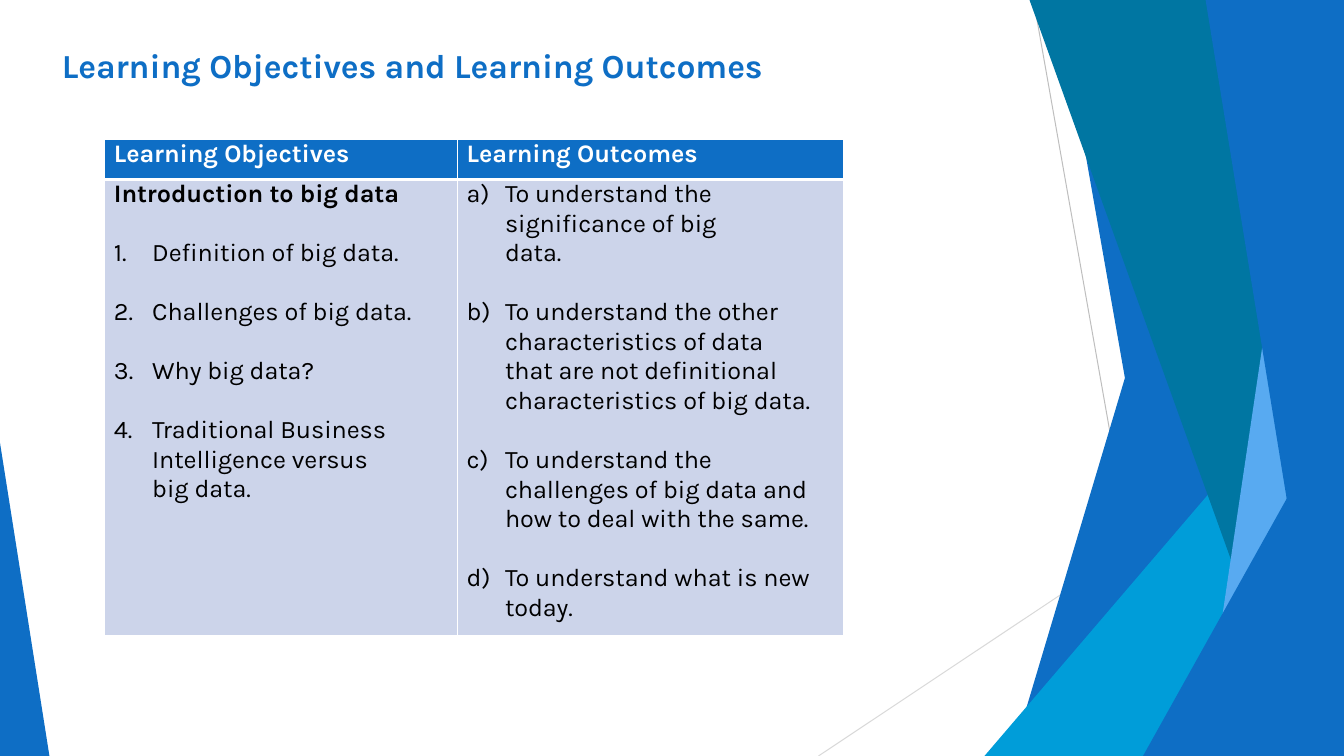
"""Build the slide on learning objectives and learning outcomes for big data."""
from lxml import etree
from pptx import Presentation
from pptx.dml.color import RGBColor
from pptx.enum.shapes import MSO_CONNECTOR
from pptx.enum.text import MSO_ANCHOR, MSO_AUTO_SIZE, PP_ALIGN
from pptx.oxml.ns import qn
from pptx.util import Inches, Pt

STRAIGHT = MSO_CONNECTOR.STRAIGHT
TOP, MIDDLE = MSO_ANCHOR.TOP, MSO_ANCHOR.MIDDLE
NO_AUTOFIT = MSO_AUTO_SIZE.NONE
LEFT = PP_ALIGN.LEFT

COLOURS = {
    "blue": "0E6EC5", "cyan": "009DD9", "teal": "0076A2", "sky": "58AAF1",
    "pale": "CCD4EA", "white": "FFFFFF", "black": "000000",
    "grey": "BEBEBE", "light_grey": "D9D9D9",
}
FORMATS = {
    "title": {"name": "Karla", "size": Pt(24), "bold": True},
    "heading": {"name": "Karla", "size": Pt(18), "bold": True},
    "item": {"name": "Karla", "size": Pt(18), "bold": False},
}
NO_MARGINS = {"margin_left": 0, "margin_top": 0, "margin_right": 0, "margin_bottom": 0}
TITLE_FRAME = {**NO_MARGINS, "word_wrap": True, "auto_size": NO_AUTOFIT,
               "vertical_anchor": MIDDLE}
CELL_FRAME = {**NO_MARGINS, "vertical_anchor": TOP}
HEADING_INDENT, ITEM_INDENT, NUMBER_WIDTH = 0.09, 0.47, 0.38
ITEM_GAP = 21

FACETS = [
    ("blue", [(100, 0), (92.1, 0), (75.3, 100), (100, 100)]),
    ("blue", [(100, 0), (78.75, 0), (88.65, 100), (100, 100)]),
    ("cyan", [(100, 44.4), (73.25, 100), (100, 100)]),
    ("teal", [(100, 0), (76.6, 0), (96.85, 100), (100, 100)]),
    ("sky", [(100, 0), (97.75, 0), (89.4, 100), (100, 100)]),
    ("blue", [(100, 0), (89.7, 0), (98.85, 100), (100, 100)]),
    ("blue", [(100, 52.4), (85.05, 100), (100, 100)]),
    ("blue", [(0, 58.55), (0, 100), (3.68, 100)]),
]
HAIRLINES = [("grey", (76.9, 0), (86.85, 100)), ("light_grey", (100, 53.7), (60.9, 100))]

OBJECTIVES = [
    ("Definition of big data.", 0.2),
    ("Challenges of big data.", 0.2),
    ("Why big data?", 0.2),
    ("Traditional Business Intelligence versus big data.", 0.6),
]
OUTCOMES = [
    ("To understand the significance of big data.", 0.92),
    ("To understand the other characteristics of data\vthat are not definitional "
     "characteristics of big data.", 0.2),
    ("To understand the challenges of big data and how to deal with the same.", 0.2),
    ("To understand what is new today.", 0.2),
]


class SlideBuilder:
    """Hold the style and the slide; lengths are percentages of the slide's size."""

    def __init__(self, presentation):
        self.width, self.height = presentation.slide_width, presentation.slide_height
        self.slide = presentation.slides.add_slide(presentation.slide_layouts[5])

    def across(self, share):
        return round(self.width * share / 100)

    def down(self, share):
        return round(self.height * share / 100)

    def point(self, position):
        return self.across(position[0]), self.down(position[1])

    def apply(self, target, values):
        for name, value in values.items():
            setattr(target, name, value)

    def colour(self, name):
        return RGBColor.from_string(COLOURS[name])

    def facet(self, colour, corners):
        first, *others = [self.point(corner) for corner in corners]
        builder = self.slide.shapes.build_freeform(*first, scale=1.0)
        builder.add_line_segments(others, close=True)
        shape = builder.convert_to_shape()
        shape.shadow.inherit = False
        shape.fill.solid()
        shape.fill.fore_color.rgb = self.colour(colour)
        shape.line.fill.background()

    def hairline(self, colour, start, end):
        connector = self.slide.shapes.add_connector(
            STRAIGHT, *self.point(start), *self.point(end))
        connector.line.color.rgb = self.colour(colour)
        connector.line.width = Pt(0.72)
        etree.SubElement(connector._element.spPr, qn("a:effectLst"))

    def fill_paragraph(self, paragraph, text, style, colour):
        paragraph.text = text
        paragraph.alignment = LEFT
        for run in paragraph.runs:
            self.apply(run.font, FORMATS[style])
            run.font.color.rgb = self.colour(colour)
            run._r.get_or_add_rPr().set("spc", "-5")

    def title(self, text, left, top, width, height):
        title = self.slide.shapes.title
        self.slide.shapes._spTree.append(title._element)
        self.apply(title, {"left": self.across(left), "top": self.down(top),
                           "width": self.across(width), "height": self.down(height)})
        self.apply(title.text_frame, TITLE_FRAME)
        self.fill_paragraph(title.text_frame.paragraphs[0], text, "title", "blue")

    def table(self, left, top, columns, rows):
        table = self.slide.shapes.add_table(
            len(rows), len(columns), self.across(left), self.down(top),
            self.across(sum(columns)), self.down(sum(rows))).table
        for column, share in zip(table.columns, columns):
            column.width = self.across(share)
        for row, share in zip(table.rows, rows):
            row.height = self.down(share)
        return table

    def cell(self, cell, fill, top_border, bottom_border):
        self.apply(cell, CELL_FRAME)
        properties = cell._tc.get_or_add_tcPr()
        borders = {"a:lnL": 1, "a:lnR": 1, "a:lnT": top_border, "a:lnB": bottom_border}
        for tag, points in borders.items():
            line = etree.SubElement(properties, qn(tag), w=str(Pt(points)))
            solid = etree.SubElement(line, qn("a:solidFill"))
            etree.SubElement(solid, qn("a:srgbClr"), val=COLOURS["white"])
        cell.fill.solid()
        cell.fill.fore_color.rgb = self.colour(fill)

    def heading(self, cell, text, colour, space):
        paragraph = cell.text_frame.paragraphs[0]
        self.fill_paragraph(paragraph, text, "heading", colour)
        paragraph.space_before = Pt(space)
        paragraph._p.get_or_add_pPr().set("marL", str(Inches(HEADING_INDENT)))

    def numbered_list(self, cell, items, scheme):
        frame = cell.text_frame
        for text, right_margin in items:
            first = not frame.text
            paragraph = frame.paragraphs[0] if first else frame.add_paragraph()
            self.fill_paragraph(paragraph, text, "item", "black")
            paragraph.space_before = Pt(1.6 if first else ITEM_GAP)
            properties = paragraph._p.get_or_add_pPr()
            indents = {"marL": ITEM_INDENT, "marR": right_margin, "indent": -NUMBER_WIDTH}
            for name, inches in indents.items():
                properties.set(name, str(Inches(inches)))
            etree.SubElement(properties, qn("a:buAutoNum"), type=scheme)


def main():
    presentation = Presentation()
    presentation.slide_width, presentation.slide_height = Inches(13.33), Inches(7.5)
    builder = SlideBuilder(presentation)
    for hairline in HAIRLINES:
        builder.hairline(*hairline)
    for facet in FACETS:
        builder.facet(*facet)
    builder.title("Learning Objectives and Learning Outcomes", 4.6, 5.9, 90.8, 5.4)

    table = builder.table(7.8, 18.45, columns=(26.25, 28.7), rows=(5.3, 60.3))
    for column, text in enumerate(("Learning Objectives", "Learning Outcomes")):
        builder.cell(table.cell(0, column), "blue", 1, 3)
        builder.heading(table.cell(0, column), text, "white", 2.6)
        builder.cell(table.cell(1, column), "pale", 3, 1)
    builder.heading(table.cell(1, 0), "Introduction to big data", "black", 1.6)
    builder.numbered_list(table.cell(1, 0), OBJECTIVES, "arabicPeriod")
    builder.numbered_list(table.cell(1, 1), OUTCOMES, "alphaLcParenR")
    presentation.save("out.pptx")


if __name__ == "__main__":
    main()
